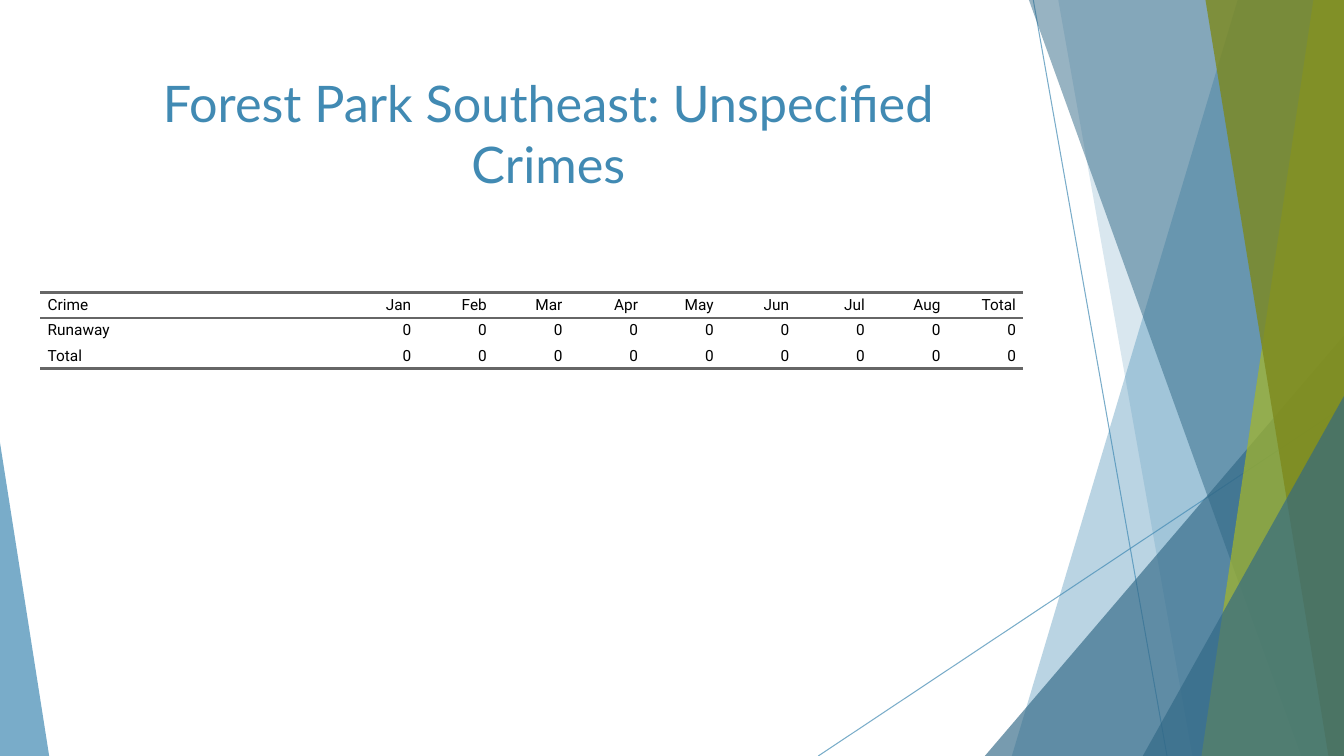
from dataclasses import dataclass

from lxml import etree
from pptx import Presentation
from pptx import util as u
from pptx.dml.color import RGBColor
from pptx.enum import shapes, text
from pptx.oxml.ns import qn


@dataclass(frozen=True)
class Theme:
    blue: str = "418AB3"
    deep_blue: str = "316886"
    lime: str = "A6B727"
    olive: str = "7D891D"
    rule: str = "666666"
    ink: str = "000000"
    title_font: str = "Lato"
    table_font: str = "Roboto"
    title_size: int = 36
    table_size: int = 11
    hairline: float = 0.75
    rule_width: int = 2


WIDTH, HEIGHT = 33.87, 19.05
NO_STYLE = "{2D5ABB26-0587-4C30-8999-92F81FD0307C}"
MONTHS = ["Jan", "Feb", "Mar", "Apr", "May", "Jun", "Jul", "Aug"]
CRIME_ROWS = [
    ["Crime", *MONTHS, "Total"],
    ["Runaway"] + ["0"] * (len(MONTHS) + 1),
    ["Total"] + ["0"] * (len(MONTHS) + 1),
]


def set_opacity(element, percent):
    for color in element.iter(qn("a:srgbClr")):
        etree.SubElement(color, qn("a:alpha"), val=str(percent * 1000))


class SlideBuilder:
    def __init__(self, page, theme):
        self.page = page
        self.theme = theme

    def paint(self, shape, color, opacity):
        shape.shadow.inherit = False
        shape.line.fill.background()
        shape.fill.solid()
        shape.fill.fore_color.rgb = RGBColor.from_string(color)
        set_opacity(shape._element.spPr, opacity)

    def line(self, x1, y1, x2, y2, opacity):
        line = self.page.shapes.add_connector(
            shapes.MSO_CONNECTOR.STRAIGHT, u.Cm(x1), u.Cm(y1), u.Cm(x2), u.Cm(y2))
        line.line.color.rgb = RGBColor.from_string(self.theme.blue)
        line.line.width = u.Pt(self.theme.hairline)
        set_opacity(line._element.spPr, opacity)
        etree.SubElement(line._element.spPr, qn("a:effectLst"))

    def band(self, top_x, bottom_x, color, opacity):
        """Fill from a slanted left edge to the right side of the slide."""
        outline = self.page.shapes.build_freeform(u.Cm(top_x), 0)
        corners = [(WIDTH, 0), (WIDTH, HEIGHT), (bottom_x, HEIGHT)]
        outline.add_line_segments([(u.Cm(x), u.Cm(y)) for x, y in corners], close=True)
        self.paint(outline.convert_to_shape(), color, opacity)

    def corner(self, left, top, width, apex, color, opacity):
        """Stand a triangle on the bottom edge, its apex at 0 (left) to 1 (right)."""
        triangle = self.page.shapes.add_shape(
            shapes.MSO_SHAPE.ISOSCELES_TRIANGLE,
            u.Cm(left), u.Cm(top), u.Cm(width), u.Cm(HEIGHT - top))
        triangle.adjustments[0] = apex
        self.paint(triangle, color, opacity)

    def set_text(self, para, words, font, size, color, align):
        para.text = words
        para.alignment = align
        para.font.name = font
        para.font.size = u.Pt(size)
        para.font.color.rgb = RGBColor.from_string(color)

    def title(self, words, left, top, width, height):
        box = self.page.shapes.add_textbox(u.Cm(left), u.Cm(top), u.Cm(width), u.Cm(height))
        box.text_frame.word_wrap = True
        self.set_text(box.text_frame.paragraphs[0], words, self.theme.title_font,
                      self.theme.title_size, self.theme.blue, text.PP_ALIGN.CENTER)

    def border(self, cell, side):
        line = etree.Element(qn(f"a:{side}"), w=str(u.Pt(self.theme.rule_width)))
        fill = etree.SubElement(line, qn("a:solidFill"))
        etree.SubElement(fill, qn("a:srgbClr"), val=self.theme.rule)
        cell._tc.get_or_add_tcPr().insert(0, line)

    def cell(self, cell, words, align):
        cell.fill.background()
        cell.vertical_anchor = text.MSO_ANCHOR.MIDDLE
        cell.margin_top = cell.margin_bottom = 0
        cell.margin_left = cell.margin_right = u.Cm(0.18)
        self.set_text(cell.text_frame.paragraphs[0], words, self.theme.table_font,
                      self.theme.table_size, self.theme.ink, align)

    def table(self, rows, left, top, first_width, other_width, row_height):
        widths = [first_width] + [other_width] * (len(rows[0]) - 1)
        table = self.page.shapes.add_table(
            len(rows), len(widths), u.Cm(left), u.Cm(top),
            u.Cm(sum(widths)), u.Cm(row_height * len(rows))).table
        table.first_row = table.horz_banding = False
        table._tbl.tblPr.find(qn("a:tableStyleId")).text = NO_STYLE
        for column, width in zip(table.columns, widths):
            column.width = u.Cm(width)
        last = len(rows) - 1
        for r, row in enumerate(rows):
            table.rows[r].height = u.Cm(row_height)
            for c, words in enumerate(row):
                cell = table.cell(r, c)
                self.cell(cell, words, text.PP_ALIGN.RIGHT if c else text.PP_ALIGN.LEFT)
                if r in (0, last):
                    self.border(cell, "lnB")
                if r == 0:
                    self.border(cell, "lnT")


def main():
    deck = Presentation()
    deck.slide_width, deck.slide_height = u.Cm(WIDTH), u.Cm(HEIGHT)
    theme = Theme()
    slide = SlideBuilder(deck.slides.add_slide(deck.slide_layouts[6]), theme)

    slide.line(26.04, 0, 29.41, HEIGHT, 70)
    slide.line(WIDTH, 10.24, 20.62, HEIGHT, 70)
    slide.band(31.19, 25.5, theme.blue, 36)
    slide.band(26.67, 30.05, theme.blue, 20)
    slide.corner(24.82, 8.46, WIDTH - 24.82, 1, theme.deep_blue, 66)
    slide.band(25.93, 32.79, theme.deep_blue, 50)
    slide.band(33.1, 30.28, theme.lime, 70)
    slide.band(30.38, 33.48, theme.olive, 80)
    slide.corner(28.8, 9.98, WIDTH - 28.8, 1, theme.deep_blue, 66)
    slide.corner(0, 11.15, 1.24, 0, theme.blue, 70)

    crime_width = 7.62
    slide.table(CRIME_ROWS, 1.02, 7.37, crime_width, crime_width / 4, 0.64)
    slide.title("Forest Park Southeast: Unspecified Crimes", 1.88, 1.7, 23.88, 3.66)
    deck.save("out.pptx")


if __name__ == "__main__":
    main()
